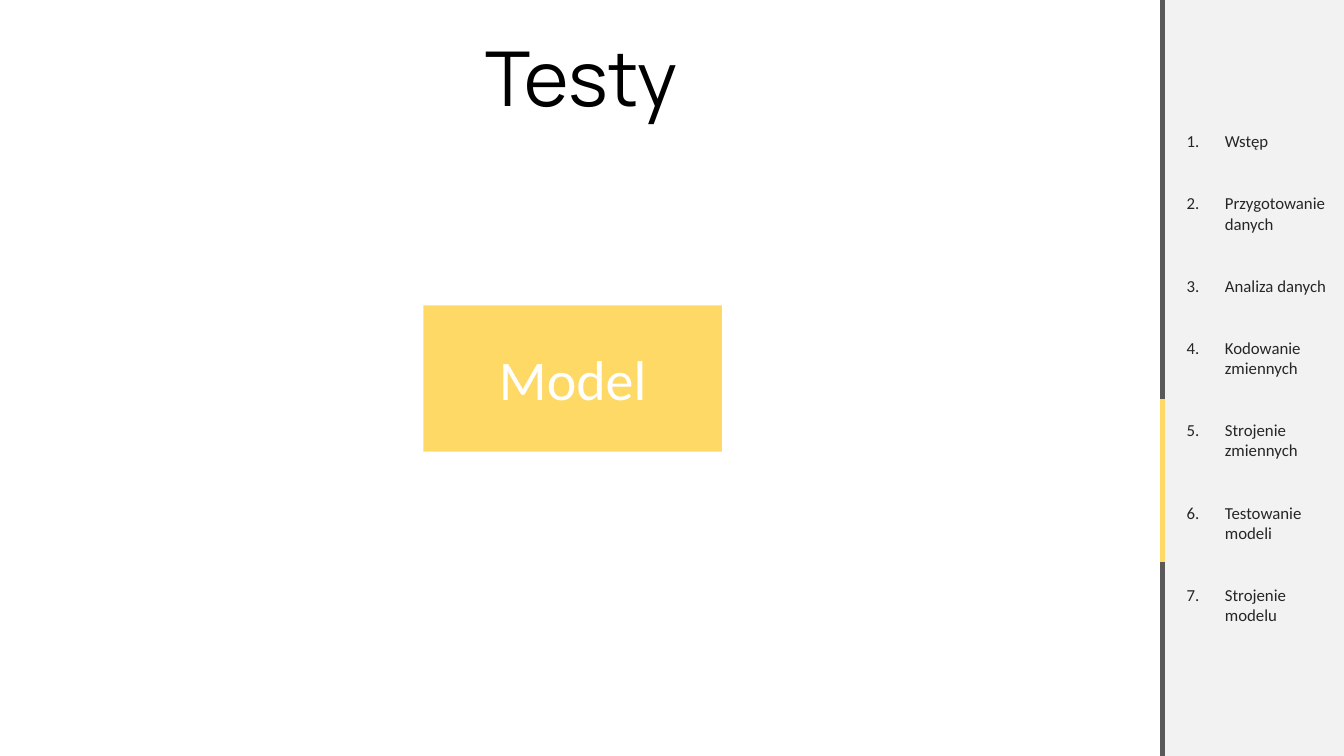
from lxml.etree import SubElement
from pptx import Presentation
from pptx.dml.color import RGBColor
from pptx.enum.shapes import MSO_CONNECTOR, MSO_SHAPE
from pptx.enum.text import MSO_ANCHOR as Anchor, PP_ALIGN as Align
from pptx.oxml.ns import qn
from pptx.util import Inches, Pt

WIDTH, HEIGHT = 13.33, 7.5
SIDEBAR_LEFT = 11.53
YELLOW, DARK, LIGHT, INK = "FFD966", "595959", "F2F2F2", "262626"
AGENDA = [
    "Wstęp",
    "Przygotowanie danych",
    "Analiza danych",
    "Kodowanie zmiennych",
    "Strojenie zmiennych",
    "Testowanie modeli",
    "Strojenie modelu",
]


def color(hex_code):
    return RGBColor.from_string(hex_code)


def add_block(slide, left, top, width, height, fill):
    block = slide.shapes.add_shape(
        MSO_SHAPE.RECTANGLE, Inches(left), Inches(top), Inches(width), Inches(height))
    block.shadow.inherit = False
    block.fill.solid()
    block.fill.fore_color.rgb = color(fill)
    block.line.fill.background()
    return block


def add_frame(slide, left, top, width, height, anchor=Anchor.TOP):
    box = slide.shapes.add_textbox(
        Inches(left), Inches(top), Inches(width), Inches(height))
    frame = box.text_frame
    frame.word_wrap = True
    frame.vertical_anchor = anchor
    return frame


def write(paragraph, words, size, font, ink, align=Align.LEFT):
    paragraph.alignment = align
    run = paragraph.add_run()
    run.text = words
    run.font.size = Pt(size)
    run.font.name = font
    run.font.color.rgb = color(ink)


def number(paragraph, indent):
    """Give a paragraph an automatic number with a hanging indent."""
    props = paragraph._p.get_or_add_pPr()
    props.set("marL", str(Inches(indent)))
    props.set("indent", str(-Inches(indent)))
    SubElement(props, qn("a:buFont"), typeface="+mj-lt")
    SubElement(props, qn("a:buAutoNum"), type="arabicPeriod")


def add_rail(slide, top, bottom, ink):
    rail = slide.shapes.add_connector(
        MSO_CONNECTOR.STRAIGHT, Inches(SIDEBAR_LEFT), Inches(top),
        Inches(SIDEBAR_LEFT), Inches(bottom))
    rail.line.color.rgb = color(ink)
    rail.line.width = Pt(3)
    SubElement(rail._element.spPr, qn("a:effectLst"))


def add_agenda(slide, topics):
    add_block(slide, SIDEBAR_LEFT, 0, WIDTH - SIDEBAR_LEFT, HEIGHT, LIGHT)
    frame = add_frame(slide, 11.67, 0, 1.69, HEIGHT, Anchor.MIDDLE)
    for index, topic in enumerate(topics):
        item = frame.add_paragraph() if index else frame.paragraphs[0]
        item.space_after = Pt(30)
        number(item, 0.38)
        write(item, topic, 12, "Calibri", INK)


def main():
    deck = Presentation()
    deck.slide_width, deck.slide_height = Inches(WIDTH), Inches(HEIGHT)
    slide = deck.slides.add_slide(deck.slide_layouts[6])

    # Model block
    model = add_block(slide, 4.2, 3.03, 2.96, 1.45, YELLOW).text_frame
    model.vertical_anchor = Anchor.MIDDLE
    write(model.paragraphs[0], "Model", 40, "Calibri", "FFFFFF", Align.CENTER)

    # Agenda sidebar with the current section marked on its rail
    add_agenda(slide, AGENDA)
    add_rail(slide, 0, HEIGHT, DARK)
    add_rail(slide, 3.96, 5.58, YELLOW)

    # Title
    title = add_frame(slide, 1.28, 0.26, 8.98, 1.01)
    write(title.paragraphs[0], "Testy", 54, "Manrope", "000000", Align.CENTER)

    deck.save("out.pptx")


if __name__ == "__main__":
    main()
